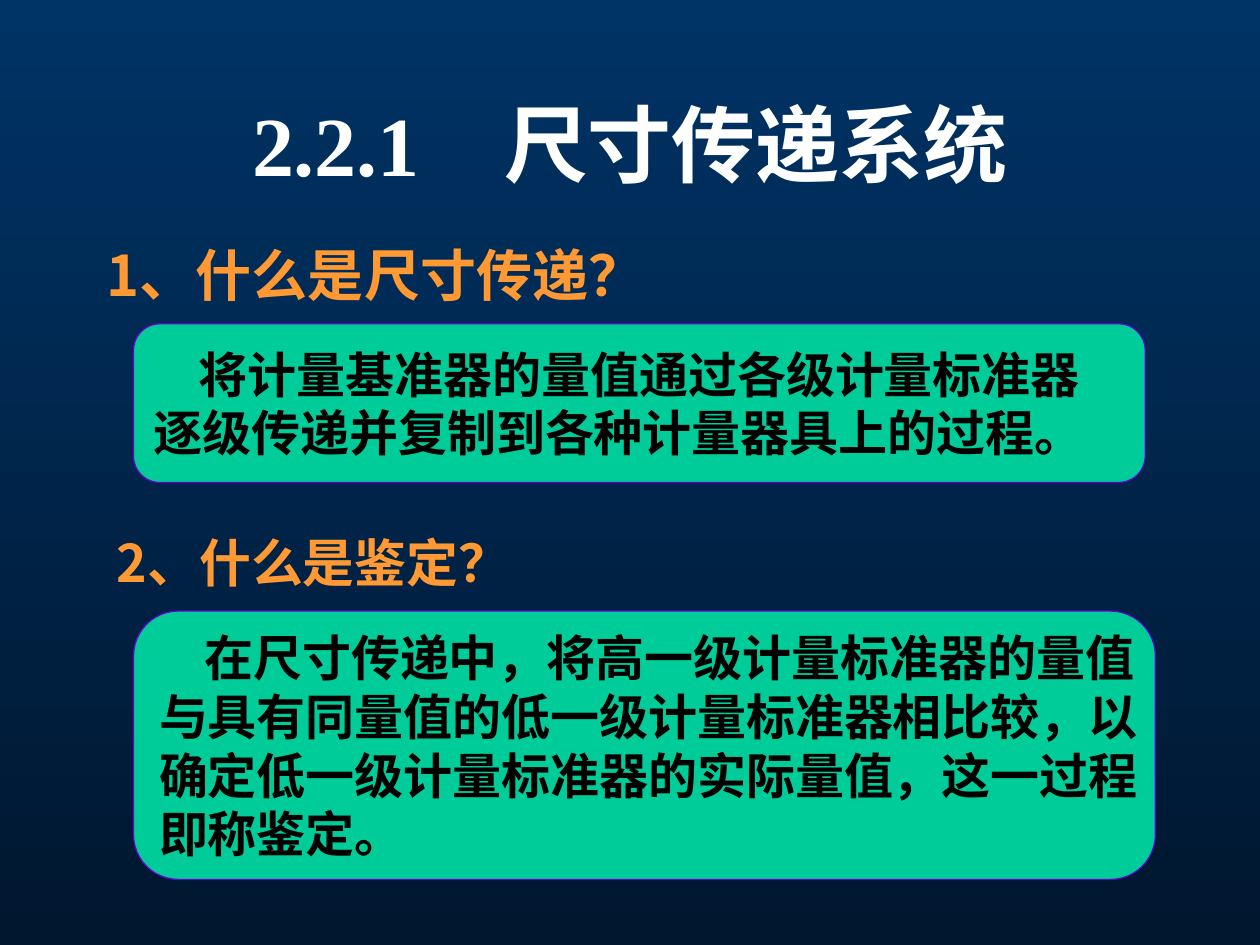
from pptx import Presentation
from pptx.dml.color import RGBColor
from pptx.enum.shapes import MSO_SHAPE
from pptx.enum.text import MSO_ANCHOR, MSO_AUTO_SIZE, PP_ALIGN
from pptx.oxml.ns import qn
from pptx.util import Inches, Pt
from lxml import etree

ROUNDED = MSO_SHAPE.ROUNDED_RECTANGLE
MIDDLE, TOP = MSO_ANCHOR.MIDDLE, MSO_ANCHOR.TOP
NO_FIT = MSO_AUTO_SIZE.NONE
LEFT, CENTER = PP_ALIGN.LEFT, PP_ALIGN.CENTER
WIDTH, HEIGHT = 10, 7.5
SERIF, SANS = "Times New Roman", "Noto Sans CJK SC"


def rgb(color):
    return RGBColor.from_string(color)


def write(tf, lines, size, color, font=SERIF, align=LEFT, anchor=TOP,
          spacing=None, indent=0, wrap=True):
    """Fill a text frame, one paragraph a line; only the first is indented."""
    tf.word_wrap, tf.auto_size, tf.vertical_anchor = wrap, NO_FIT, anchor
    for i, line in enumerate(lines):
        p = tf.paragraphs[0] if i == 0 else tf.add_paragraph()
        p.alignment = align
        if spacing:
            p.line_spacing = spacing
        if indent and i == 0:
            p._p.get_or_add_pPr().set("indent", str(Inches(indent)))
        r = p.add_run()
        r.text = line
        r.font.name, r.font.size, r.font.bold = font, Pt(size), True
        r.font.color.rgb = rgb(color)
        latin = r._r.rPr.find(qn("a:latin"))
        east = etree.Element(qn("a:ea"), typeface=SANS)
        latin.addnext(east)


class Deck:
    ink, paper, accent = "000000", "FFFFFF", "FF9933"
    panel_fill, panel_line = "00CC99", "6600CC"
    sky = ("003366", "00172F")

    def __init__(self):
        self.prs = Presentation()
        self.prs.slide_width, self.prs.slide_height = Inches(WIDTH), Inches(HEIGHT)
        self.s = self.prs.slides.add_slide(self.prs.slide_layouts[5])
        fill = self.s.background.fill
        fill.gradient()
        fill.gradient_angle = 270
        for stop, color in zip(fill.gradient_stops, self.sky):
            stop.color.rgb = rgb(color)

    def box(self, x, y, w, h):
        """Turn shares of the slide's size into lengths."""
        return [Inches(round(share * side, 2)) for share, side in
                zip((x, y, w, h), (WIDTH, HEIGHT, WIDTH, HEIGHT))]

    def title(self, text, *area):
        sp = self.s.shapes.title
        sp.left, sp.top, sp.width, sp.height = self.box(*area)
        write(sp.text_frame, [text], 48, self.paper, align=CENTER, anchor=MIDDLE)

    def heading(self, text, *area, size, spacing=None):
        sp = self.s.shapes.add_textbox(*self.box(*area))
        write(sp.text_frame, [text], size, self.accent, font=SANS, spacing=spacing)

    def panel(self, lines, *area):
        sp = self.s.shapes.add_shape(ROUNDED, *self.box(*area))
        sp.shadow.inherit = False
        sp.fill.solid()
        sp.fill.fore_color.rgb = rgb(self.panel_fill)
        sp.line.color.rgb = rgb(self.panel_line)
        sp.line.width = Pt(0.75)
        write(sp.text_frame, lines, 28, self.ink, anchor=MIDDLE,
              spacing=Pt(33.5), indent=0.36, wrap=False)


def main():
    deck = Deck()
    deck.title("2.2.1　尺寸传递系统", 0.075, 0.068, 0.85, 0.167)
    deck.heading("1、什么是尺寸传递？", 0.075, 0.248, 0.85, 0.085, size=32)
    deck.heading("2、什么是鉴定？", 0.083, 0.563, 0.85, 0.084, size=29.6, spacing=0.9)
    deck.panel(["将计量基准器的量值通过各级计量标准器",
                "逐级传递并复制到各种计量器具上的过程。"],
               0.106, 0.343, 0.803, 0.168)
    deck.panel(["在尺寸传递中，将高一级计量标准器的量值",
                "与具有同量值的低一级计量标准器相比较，以",
                "确定低一级计量标准器的实际量值，这一过程",
                "即称鉴定。"],
               0.106, 0.647, 0.811, 0.284)
    deck.prs.save("out.pptx")


if __name__ == "__main__":
    main()
